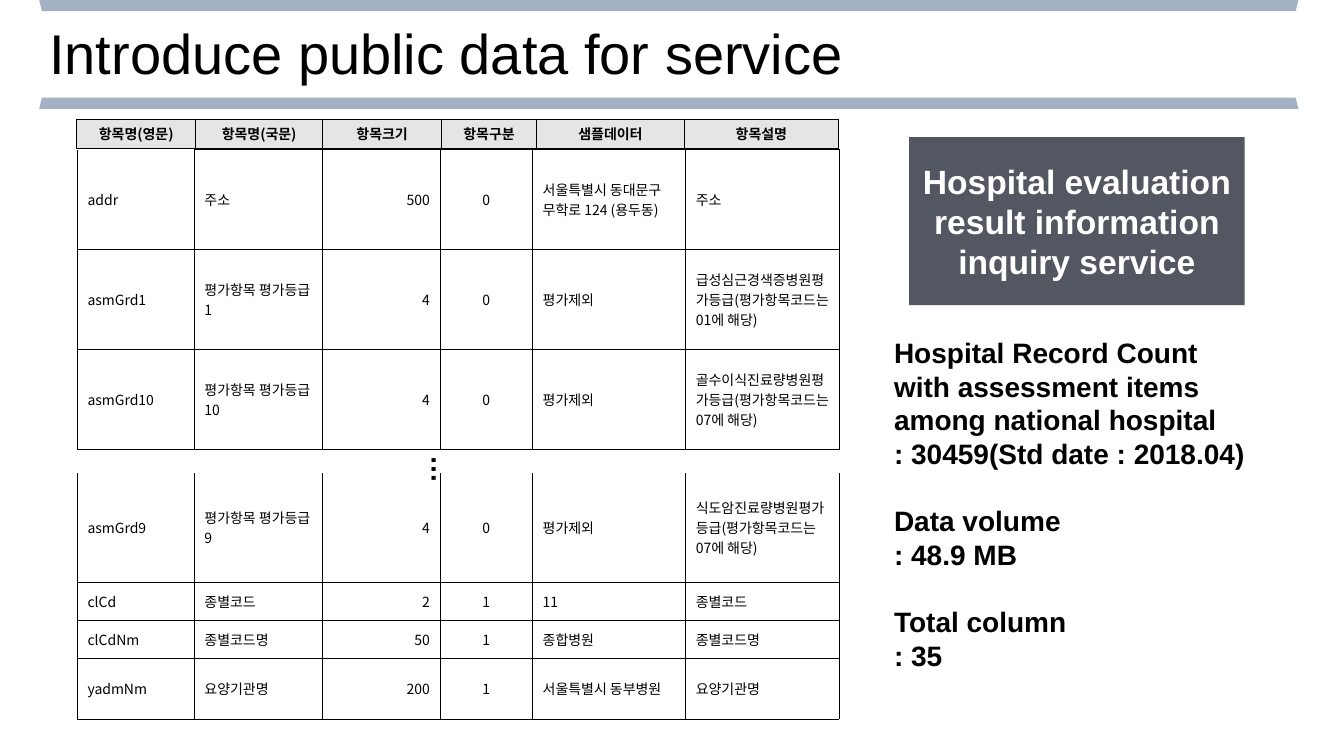
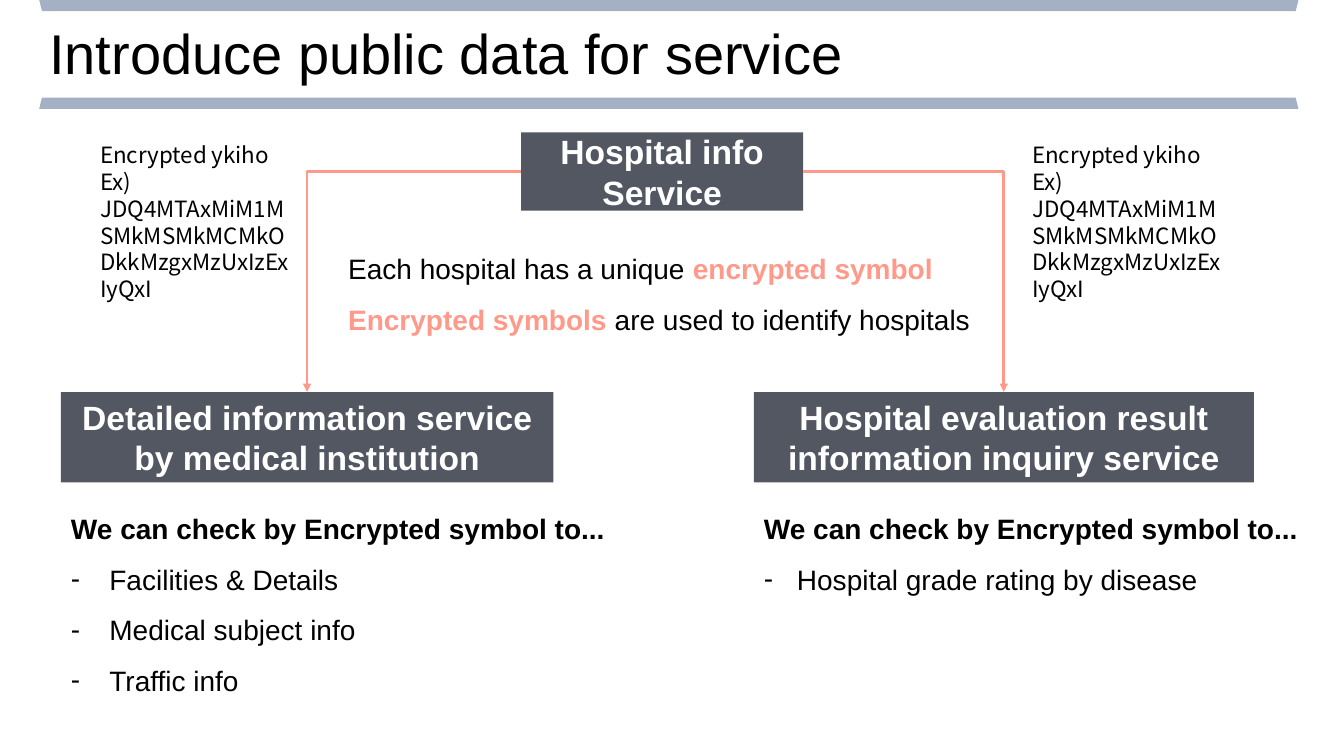
from dataclasses import dataclass
from typing import NamedTuple, Optional, Sequence

from lxml.etree import SubElement
from pptx import Presentation
from pptx.dml.color import RGBColor as RGB
from pptx.enum.shapes import MSO_CONNECTOR as CONN, MSO_SHAPE as SHAPE
from pptx.enum.text import MSO_ANCHOR as ANCHOR, MSO_AUTO_SIZE as AUTO, PP_ALIGN as ALIGN
from pptx.oxml.ns import qn
from pptx.util import Pt


@dataclass(frozen=True)
class Theme:
    band: RGB = RGB(0xA4, 0xB1, 0xC4)
    box: RGB = RGB(0x40, 0x45, 0x51)
    header: RGB = RGB(0xE5, 0xE5, 0xE5)
    accent: RGB = RGB(0xFF, 0x9A, 0x8B)
    ink: RGB = RGB(0, 0, 0)
    paper: RGB = RGB(0xFF, 0xFF, 0xFF)
    font: str = "Arial"
    korean: str = "Noto Sans CJK KR"
    title: float = 40
    label: float = 24
    body: float = 20
    sample: float = 16
    cell: float = 10
    leading: float = 1.2
    border: float = 0.56


T = Theme()


class Area(NamedTuple):
    x: float
    y: float
    w: float
    h: float

    def pts(self) -> list:
        return [Pt(v) for v in self]


class Run(NamedTuple):
    text: str
    bold: bool = False
    color: RGB = T.ink


@dataclass(frozen=True)
class Para:
    runs: Sequence[Run]
    before: float = 0
    hang: float = 0  # a dash bullet with this indent


@dataclass(frozen=True)
class Grid:
    area: Area
    cols: Sequence[float]
    heights: Sequence[float]
    rows: Sequence[Sequence[str]]
    open_tops: int = 0  # first-row cells without a top border
    header: bool = False


# Text
def add_run(p, run: Run, size: float, font: str) -> None:
    r = p.add_run()
    r.text = run.text
    f = r.font
    f.size, f.bold, f.name, f.color.rgb = Pt(size), run.bold, font, run.color
    SubElement(r._r.get_or_add_rPr(), qn("a:ea"), typeface=font)


def write(shape, paras: Sequence[Para], size: float, font: str = T.font,
          align=ALIGN.LEFT, anchor=ANCHOR.TOP, spacing: float = 1) -> None:
    tf = shape.text_frame
    tf.word_wrap, tf.auto_size, tf.vertical_anchor = True, AUTO.NONE, anchor
    for i, para in enumerate(paras):
        p = tf.add_paragraph() if i else tf.paragraphs[0]
        p.alignment = align
        p.line_spacing = Pt(round(size * T.leading * spacing, 1))
        p.space_before = Pt(para.before)
        pPr = p._p.get_or_add_pPr()
        pPr.set("marL", str(Pt(para.hang)))
        pPr.set("indent", str(-Pt(para.hang)))
        if para.hang:
            SubElement(pPr, qn("a:buChar"), char="-")
        else:
            SubElement(pPr, qn("a:buNone"))
        for run in para.runs:
            add_run(p, run, size, font)


def place(shape, area: Area):
    shape.left, shape.top, shape.width, shape.height = area.pts()
    return shape


# Shapes
def add_solid(s, kind, area: Area, color: RGB):
    sp = s.shapes.add_shape(kind, *area.pts())
    sp.shadow.inherit = False
    sp.fill.solid()
    sp.fill.fore_color.rgb = color
    sp.line.fill.background()
    return sp


def add_box(s, area: Area, text: str):
    sp = add_solid(s, SHAPE.RECTANGLE, area, T.box)
    color = sp._element.spPr.find(".//" + qn("a:srgbClr"))
    SubElement(color, qn("a:alpha"), val="90000")
    write(sp, [Para([Run(text, True, T.paper)])], T.label,
          align=ALIGN.CENTER, anchor=ANCHOR.MIDDLE)
    return sp


def add_bent_arrow(s, start, start_site: int, end) -> None:
    c = s.shapes.add_connector(CONN.ELBOW, 0, 0, 0, 0)
    c.begin_connect(start, start_site)
    c.end_connect(end, 0)
    c.line.color.rgb, c.line.width = T.accent, Pt(2)
    spPr = c._element.spPr
    spPr.find(qn("a:prstGeom")).set("prst", "bentConnector2")
    SubElement(spPr.find(qn("a:ln")), qn("a:tailEnd"), type="triangle")
    SubElement(spPr, qn("a:effectLst"))


# Tables
def add_border(tcPr, side: str, visible: bool) -> None:
    ln = SubElement(tcPr, qn("a:ln" + side), w=str(Pt(T.border)))
    if visible:
        fill = SubElement(ln, qn("a:solidFill"))
        SubElement(fill, qn("a:srgbClr"), val=str(T.ink))
    else:
        SubElement(ln, qn("a:noFill"))


def add_grid(s, grid: Grid) -> None:
    aligns = [ALIGN.LEFT, ALIGN.LEFT, ALIGN.RIGHT, ALIGN.CENTER, ALIGN.LEFT, ALIGN.LEFT]
    table = s.shapes.add_table(len(grid.rows), len(grid.cols), *grid.area.pts()).table
    table.first_row = table.horz_banding = False
    for col, width in zip(table.columns, grid.cols):
        col.width = Pt(width)
    for i, (row, height) in enumerate(zip(grid.rows, grid.heights)):
        table.rows[i].height = Pt(height)
        for j, text in enumerate(row):
            cell = table.cell(i, j)
            cell.vertical_anchor = ANCHOR.MIDDLE
            tcPr = cell._tc.get_or_add_tcPr()
            for side in "LRTB":
                add_border(tcPr, side, side != "T" or i > 0 or j >= grid.open_tops)
            if grid.header:
                cell.margin_left = cell.margin_right = Pt(5)
                cell.margin_top = cell.margin_bottom = Pt(1.4)
                cell.fill.solid()
                cell.fill.fore_color.rgb = T.header
            else:
                cell.fill.background()
            p = cell.text_frame.paragraphs[0]
            p.alignment = ALIGN.CENTER if grid.header else aligns[j]
            add_run(p, Run(text, grid.header), T.cell, T.korean)


# Shared frame: two bands and the title
def new_slide(prs, layout: int):
    s = prs.slides.add_slide(prs.slide_layouts[layout])
    top = add_solid(s, SHAPE.TRAPEZOID, Area(28, 0, 899.5, 8), T.band)
    top.rotation = 180
    add_solid(s, SHAPE.TRAPEZOID, Area(28, 69.8, 899.5, 8), T.band)
    title = place(s.shapes.title, Area(28, 9.4, 613.4, 55.4))
    write(title, [Para([Run("Introduce public data for service")])], T.title)
    return s


HEADER = ["항목명(영문)", "항목명(국문)", "항목크기", "항목구분", "샘플데이터", "항목설명"]
FIRST_ROWS = [
    ["addr", "주소", "500", "0", "서울특별시 동대문구 무학로 124 (용두동)", "주소"],
    ["asmGrd1", "평가항목 평가등급1", "4", "0", "평가제외",
     "급성심근경색증병원평가등급(평가항목코드는 01에 해당)"],
    ["asmGrd10", "평가항목 평가등급10", "4", "0", "평가제외",
     "골수이식진료량병원평가등급(평가항목코드는 07에 해당)"],
]
LAST_ROWS = [
    ["asmGrd9", "평가항목 평가등급9", "4", "0", "평가제외",
     "식도암진료량병원평가등급(평가항목코드는 07에 해당)"],
    ["clCd", "종별코드", "2", "1", "11", "종별코드"],
    ["clCdNm", "종별코드명", "50", "1", "종합병원", "종별코드명"],
    ["yadmNm", "요양기관명", "200", "1", "서울특별시 동부병원", "요양기관명"],
]
FACTS = [
    ["Hospital Record Count", "with assessment items", "among national hospital",
     ": 30459(Std date : 2018.04)"],
    ["Data volume", ": 48.9 MB"],
    ["Total column", ": 35"],
]


def build_data_slide(prs) -> None:
    s = new_slide(prs, 1)

    # Column listing
    cols = [83.5, 91.4, 84, 66.2, 109.4, 109.4]
    add_grid(s, Grid(Area(54.8, 85.5, 544, 20.2), [85, 90.7, 85, 67.7, 105.8, 109.8],
                     [20.2], [HEADER], header=True))
    add_grid(s, Grid(Area(55.4, 337.8, 544, 175.8), cols,
                     [78, 27.1, 27.1, 43.6], LAST_ROWS, open_tops=len(cols)))
    add_grid(s, Grid(Area(55.4, 107, 544, 214.2), cols, [71.4] * 3, FIRST_ROWS, open_tops=1))
    dots = s.shapes.add_textbox(*Area(293, 318.2, 38.9, 25.2).pts())
    write(dots, [Para([Run("…", True)])], T.body)
    dots.text_frame.word_wrap = False
    dots.text_frame._txBody.bodyPr.set("vert", "eaVert")

    # Service name and facts
    add_box(s, Area(649.4, 98, 239.6, 120), "Hospital evaluation result information inquiry service")
    gap = T.body * T.leading
    paras = [Para([Run(line, True)], before=gap if g and not i else 0)
             for g, group in enumerate(FACTS) for i, line in enumerate(group)]
    write(place(s.placeholders[1], Area(631.4, 236.2, 275.8, 249.8)), paras, T.body)


def build_link_slide(prs) -> None:
    s = new_slide(prs, 3)

    # Services and the arrows between them
    hub = add_box(s, Area(372.2, 94.5, 201.6, 56), "Hospital info Service")
    detail = add_box(s, Area(43.5, 280, 351.8, 64.6),
                     "Detailed information service by medical institution")
    rating = add_box(s, Area(538.4, 280, 357.2, 64.6),
                     "Hospital evaluation result information inquiry service")
    add_bent_arrow(s, hub, 1, detail)
    add_bent_arrow(s, hub, 3, rating)

    # Message on the encrypted symbol
    message = s.shapes.add_textbox(*Area(241.6, 164.2, 487.4, 80).pts())
    write(message, [
        Para([Run("Each hospital has a unique "), Run("encrypted symbol", True, T.accent)]),
        Para([Run("Encrypted symbols ", True, T.accent),
              Run("are used to identify hospitals")]),
    ], T.body, spacing=1.5)

    # What each service offers
    offers = [
        (1, detail, 27.4, ["Facilities & Details", "Medical subject info", "Traffic info"]),
        (2, rating, 23.6, ["Hospital grade rating by disease"]),
    ]
    for idx, box, hang, items in offers:
        area = Area(box.left.pt, 350, 401, 44.6 + 36 * len(items))
        paras = [Para([Run("We can check by Encrypted symbol to...", True)])]
        paras += [Para([Run(item)], hang=hang) for item in items]
        write(place(s.placeholders[idx], area), paras, T.body, spacing=1.5)

    # Sample keys
    for x in (64.5, 730.2):
        sample = s.shapes.add_textbox(*Area(x, 97.2, 151.2, 123.8).pts())
        write(sample, [
            Para([Run("Encrypted ykiho")]),
            Para([Run("Ex) JDQ4MTAxMiM1MSMkMSMkMCMkODkkMzgxMzUxIzExIyQxI")]),
        ], T.sample, T.korean)


def main() -> None:
    prs = Presentation()
    prs.slide_width, prs.slide_height = Pt(960), Pt(540)
    build_data_slide(prs)
    build_link_slide(prs)
    prs.save("out.pptx")


if __name__ == "__main__":
    main()
